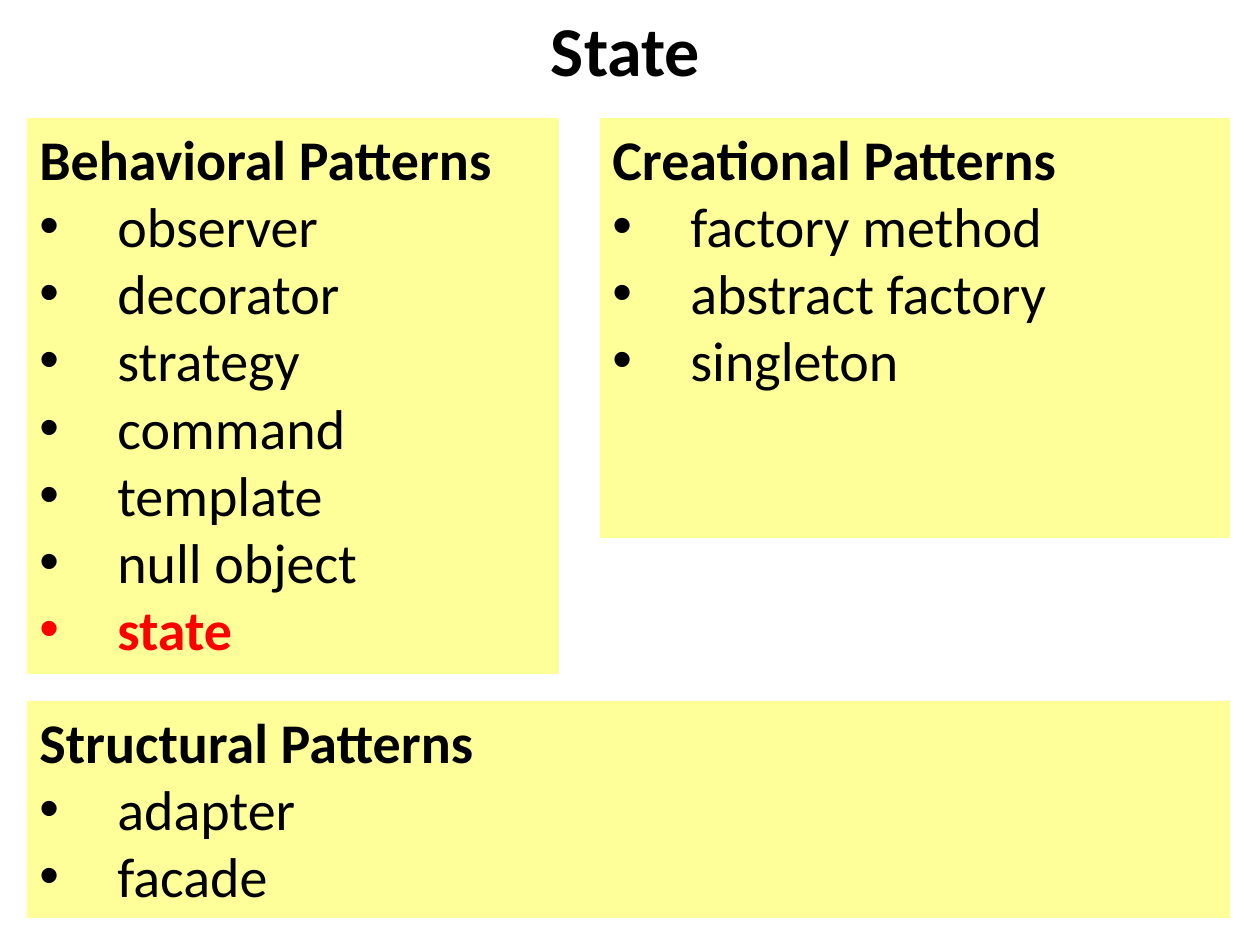
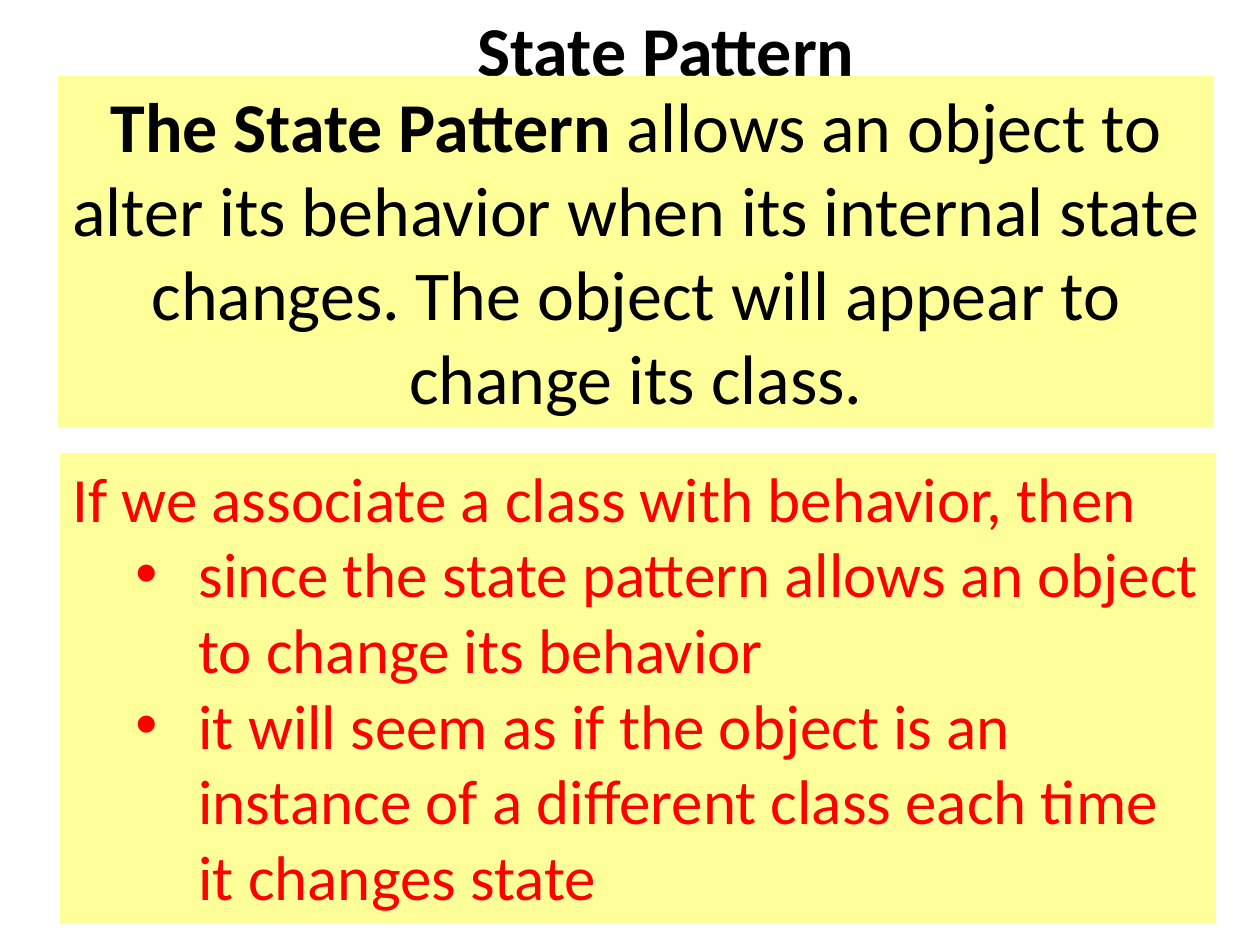
from lxml.etree import SubElement
from pptx import Presentation
from pptx.dml.color import RGBColor
from pptx.enum.shapes import MSO_SHAPE
from pptx.enum.text import MSO_ANCHOR, MSO_AUTO_SIZE, PP_ALIGN
from pptx.oxml.ns import qn
from pptx.util import Emu, Pt

SCALE = 914400 / 126
BLACK = RGBColor(0, 0, 0)
RED = RGBColor(255, 0, 0)
YELLOW = RGBColor(255, 255, 153)
WHITE = RGBColor(255, 255, 255)
FACE = "Calibri"


def px(size):
    """Turn pixels into EMU."""
    return Emu(round(size * SCALE))


def style(para, size, color=BLACK, bold=False):
    """Format every run of a paragraph."""
    for run in para.runs:
        font = run.font
        font.name, font.size, font.bold = FACE, Pt(size), bold
        font.color.rgb = color


def bullet(para, left, hang):
    """Give a paragraph a round bullet with a hanging indent."""
    props = para._p.get_or_add_pPr()
    props.set("marL", str(px(left)))
    props.set("indent", str(-px(hang)))
    SubElement(props, qn("a:buFont"), typeface="Arial")
    SubElement(props, qn("a:buChar"), char="•")


def start(deck, text, left, width):
    """Add a white slide with its title at the top."""
    slide = deck.slides.add_slide(deck.slide_layouts[5])
    fill = slide.background.fill
    fill.solid()
    fill.fore_color.rgb = WHITE
    title = slide.shapes.title
    title.left, title.top = px(left), px(0)
    title.width, title.height = px(width), px(97)
    frame = title.text_frame
    frame.text = text
    frame.auto_size = MSO_AUTO_SIZE.NONE
    frame.vertical_anchor = MSO_ANCHOR.TOP
    para = frame.paragraphs[0]
    para.alignment = PP_ALIGN.CENTER
    style(para, 40, bold=True)
    return slide


def panel(slide, box, lines):
    """Add a yellow box with left-aligned lines and return its paragraphs."""
    shape = slide.shapes.add_shape(MSO_SHAPE.RECTANGLE, *map(px, box))
    shape.shadow.inherit = False
    shape.fill.solid()
    shape.fill.fore_color.rgb = YELLOW
    shape.line.fill.background()
    frame = shape.text_frame
    frame.word_wrap = True
    frame.vertical_anchor = MSO_ANCHOR.TOP
    frame.text = "\n".join(lines)
    for para in frame.paragraphs:
        para.alignment = PP_ALIGN.LEFT
    return frame.paragraphs


def group(slide, box, head, names, mark=None):
    """Add a pattern family: a bold heading over bulleted names."""
    first, *rest = panel(slide, box, [head, *names])
    style(first, 32, bold=True)
    for para in rest:
        hot = para.text == mark
        style(para, 32, RED if hot else BLACK, hot)
        bullet(para, 78, 78)


def define(slide, box, term, text):
    """Add a centred definition that opens with its bold term."""
    para = panel(slide, box, [term])[0]
    para.alignment = PP_ALIGN.CENTER
    para.add_run().text = text
    style(para, 40)
    para.runs[0].font.bold = True


def reason(slide, box, lead, points):
    """Add a red lead line with indented points."""
    first, *rest = panel(slide, box, [lead, *points])
    style(first, 36, RED)
    for para in rest:
        para.level = 1
        style(para, 36, RED)
        bullet(para, 126, 63)


def families(deck):
    """Build the overview of pattern families."""
    slide = start(deck, "State", 422, 407)
    group(slide, (27, 118, 532, 556), "Behavioral Patterns",
          ["observer", "decorator", "strategy", "command", "template",
           "null object", "state"], "state")
    group(slide, (600, 118, 630, 420), "Creational Patterns",
          ["factory method", "abstract factory", "singleton"])
    group(slide, (27, 701, 1203, 217), "Structural Patterns",
          ["adapter", "facade"])


def meaning(deck):
    """Build the definition of the state pattern."""
    slide = start(deck, "State Pattern", 123, 1086)
    define(slide, (58, 76, 1156, 352), "The State Pattern ",
           "allows an object to alter its behavior when its internal state "
           "changes. The object will appear to change its class.")
    reason(slide, (60, 453, 1156, 471),
           "If we associate a class with behavior, then",
           ["since the state pattern allows an object to change its behavior",
            "it will seem as if the object is an instance of a different "
            "class each time it changes state"])


deck = Presentation()
deck.slide_width, deck.slide_height = px(1260), px(945)
families(deck)
meaning(deck)
deck.save("out.pptx")
